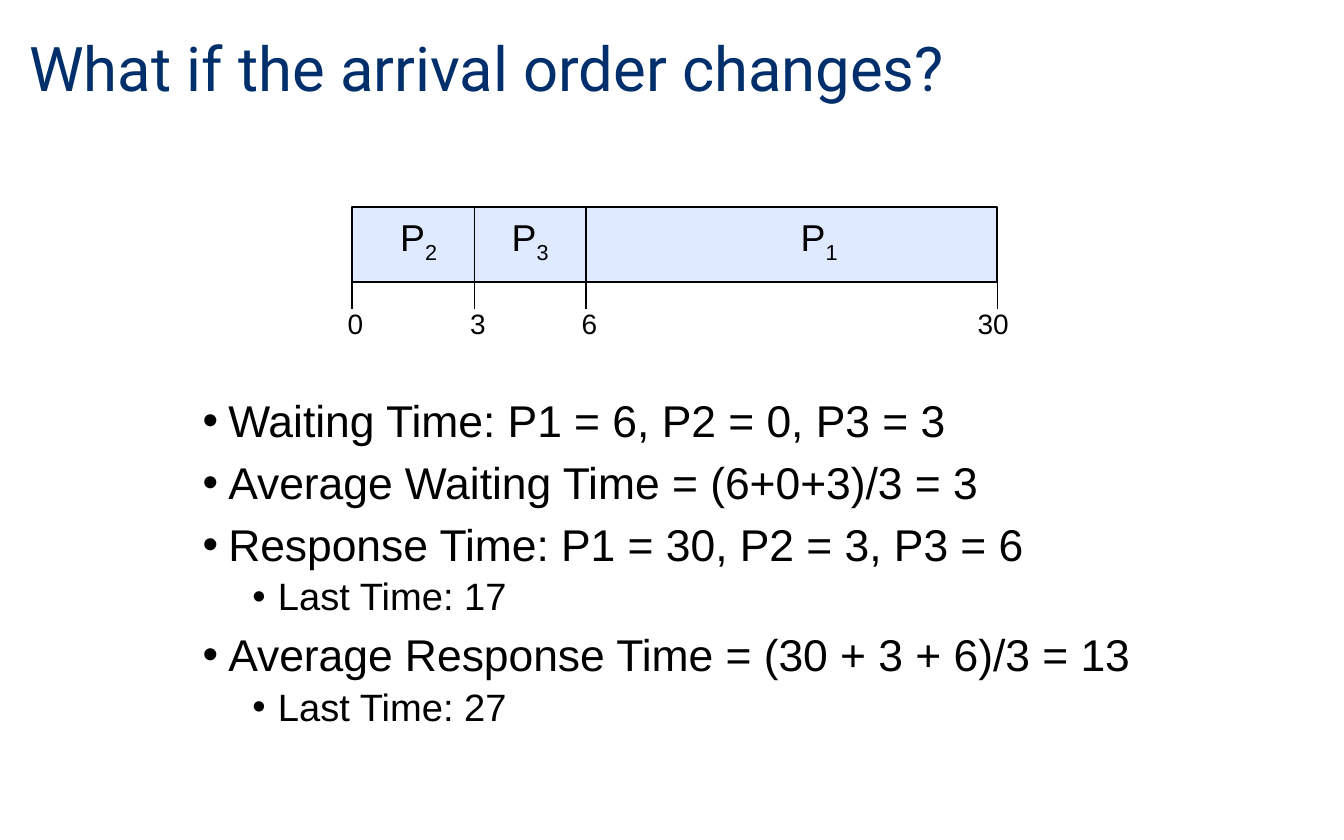
from lxml.etree import SubElement
from pptx import Presentation
from pptx.dml.color import RGBColor
from pptx.enum.shapes import MSO_CONNECTOR, MSO_SHAPE
from pptx.enum.text import MSO_ANCHOR, PP_ALIGN
from pptx.oxml.ns import qn
from pptx.util import Inches, Pt

NAVY = RGBColor(0x00, 0x2F, 0x6C)
BLACK = RGBColor(0x00, 0x00, 0x00)
PALE_BLUE = RGBColor(0xDF, 0xE9, 0xFF)

deck = Presentation()
deck.slide_width, deck.slide_height = Inches(10), Inches(6.25)
slide = deck.slides.add_slide(deck.slide_layouts[6])

# Grid of 100 columns by 100 rows
COL = deck.slide_width / 100
ROW = deck.slide_height / 100


def add_text(left, top, width, height, anchor=MSO_ANCHOR.MIDDLE, wrap=False):
    box = slide.shapes.add_textbox(
        round(left * COL), round(top * ROW), round(width * COL), round(height * ROW))
    box.text_frame.word_wrap = wrap
    box.text_frame.vertical_anchor = anchor
    return box.text_frame


def set_font(paragraph, size, color=BLACK, name="Arial"):
    paragraph.font.name = name
    paragraph.font.size = Pt(size)
    paragraph.font.color.rgb = color


# Title
title = add_text(1.2, 1.6, 85.2, 13.8, wrap=True).paragraphs[0]
title.text = "What if the arrival order changes?"
title.line_spacing = 0.9
set_font(title, 33, NAVY, "Roboto")

# Waiting and response times
results = [
    (0, "Waiting Time: P1 = 6, P2 = 0, P3 = 3"),
    (0, "Average Waiting Time = (6+0+3)/3 = 3"),
    (0, "Response Time: P1 = 30, P2 = 3, P3 = 6"),
    (1, "Last Time: 17"),
    (0, "Average Response Time = (30 + 3 + 6)/3 = 13"),
    (1, "Last Time: 27"),
]
level_styles = [(23.8, 7.5, 1.9), (20.4, 3.8, 5.6)]  # size, space before, indent
HANGING = 1.9
body = add_text(14.1, 46.7, 71.9, 43.4, MSO_ANCHOR.TOP, wrap=True)
for index, (level, wording) in enumerate(results):
    size, space_before, indent = level_styles[level]
    line = body.paragraphs[0] if index == 0 else body.add_paragraph()
    line.text = wording
    line.level = level
    line.line_spacing = 0.9
    line.space_before = Pt(space_before if index else 0)
    properties = line._p.get_or_add_pPr()
    properties.set("marL", str(round(indent * COL)))
    properties.set("indent", str(round(-HANGING * COL)))
    SubElement(properties, qn("a:buFont")).set("typeface", "Arial")
    SubElement(properties, qn("a:buChar")).set("char", "•")
    set_font(line, size)

# Schedule bar
BAR_TOP, BAR_BOTTOM, TICK_BOTTOM = 24.64, 33.6, 36.8
times = [("0", 26.2), ("3", 35.3), ("6", 43.6), ("30", 74.2)]
bar_left, bar_right = times[0][1], times[-1][1]
bar = slide.shapes.add_shape(
    MSO_SHAPE.RECTANGLE, round(bar_left * COL), round(BAR_TOP * ROW),
    round((bar_right - bar_left) * COL), round((BAR_BOTTOM - BAR_TOP) * ROW))
bar.shadow.inherit = False
bar.fill.solid()
bar.fill.fore_color.rgb = PALE_BLUE
bar.line.color.rgb = BLACK
bar.line.width = Pt(0.75)

# Process names with subscripts
for number, center in [("2", 31.15), ("3", 39.45), ("1", 60.95)]:
    process = add_text(center - 2.45, 24.96, 4.9, 7.04).paragraphs[0]
    process.alignment = PP_ALIGN.CENTER
    process.add_run().text = "P"
    subscript = process.add_run()
    subscript.text = number
    subscript._r.get_or_add_rPr().set("baseline", "-25000")
    set_font(process, 20)

# Dividers, ticks and times
for time, x in times:
    spans = [(BAR_BOTTOM, TICK_BOTTOM)]
    if bar_left < x < bar_right:
        spans.append((BAR_TOP, BAR_BOTTOM))
    for top, bottom in spans:
        mark = slide.shapes.add_connector(
            MSO_CONNECTOR.STRAIGHT, round(x * COL), round(top * ROW),
            round(x * COL), round(bottom * ROW))
        mark.line.color.rgb = BLACK
        mark.line.width = Pt(0.75)
        SubElement(mark._element.spPr, qn("a:effectLst"))

    width = 2 + 1.2 * len(time)
    center = x + (0.25 if x < bar_right else -0.3)
    label = add_text(center - width / 2, 35.68, width, 5.6).paragraphs[0]
    label.text = time
    label.alignment = PP_ALIGN.CENTER
    set_font(label, 15)

deck.save("out.pptx")
